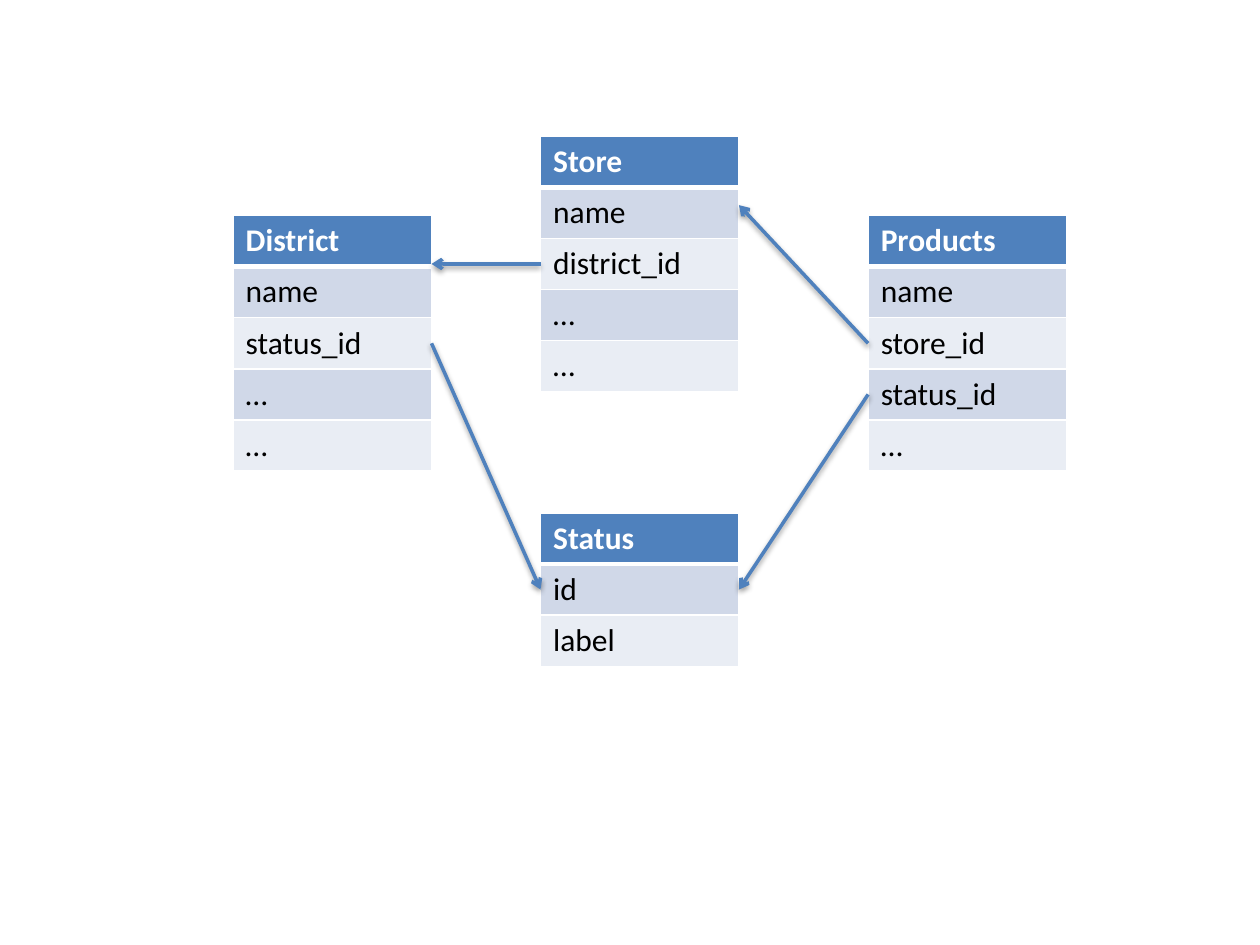
from pptx import Presentation, util as u
from pptx.dml.color import RGBColor
from pptx.enum import shapes
from pptx.oxml import parse_xml
from pptx.oxml.ns import nsdecls

BLUE, WHITE, BLACK = "4F81BD", "FFFFFF", "000000"
BANDS = ["E9EDF4", "D0D8E8"]
WIDE, ROW = 6.3 / 4, 2.03 / 5
COLS = [1.85, 4.29, 6.89]
TOPS = [1.08, 1.71, 4.07]
LEVEL = 2.5 - (TOPS[1] - TOPS[0]) / ROW  # District height of Store's third row

# name: (column, top, fields)
TABLES = {
    "Products": (2, 1, ["name", "store_id", "status_id", "…"]),
    "Store": (1, 0, ["name", "district_id", "…", "…"]),
    "District": (0, 1, ["name", "status_id", "…", "…"]),
    "Status": (1, 2, ["id", "label"]),
}

# each end: table, side (0 left, 1 right), rows down from its top
LINKS = [
    (("Products", 0, 3.5), ("Status", 1, 1.5)),
    (("District", 1, 2.5), ("Status", 0, 1.5)),
    (("Store", 0, 2.5), ("District", 1, LEVEL)),
    (("Products", 0, 2.5), ("Store", 1, 1.35)),
]


def rgb(code):
    """Turn a hex string into a colour."""
    return RGBColor.from_string(code)


def write(frame, words, size=18, color=BLACK, bold=False, font="Calibri"):
    """Put formatted text into a text frame."""
    run = frame.paragraphs[0].add_run()
    run.text = words
    run.font.size, run.font.name, run.font.bold = u.Pt(size), font, bold
    run.font.color.rgb = rgb(color)


def border(cell, side, width):
    """Draw one white edge of a cell."""
    cell._tc.get_or_add_tcPr().append(parse_xml(
        f'<a:ln{side} {nsdecls("a")} w="{u.Pt(width)}"><a:solidFill>'
        f'<a:srgbClr val="{WHITE}"/></a:solidFill></a:ln{side}>'))


def entity(slide, name, col, top, fields):
    """Add a table with a header and one row per field."""
    rows = [name] + fields
    table = slide.shapes.add_table(
        len(rows), 1, u.Inches(COLS[col]), u.Inches(TOPS[top]),
        u.Inches(WIDE), u.Inches(ROW * len(rows))).table
    for i, words in enumerate(rows):
        cell, head = table.cell(i, 0), i == 0
        for side in "LRTB":
            thick = (i, side) in [(0, "B"), (1, "T")]
            border(cell, side, 3 if thick else 1)
        cell.fill.solid()
        cell.fill.fore_color.rgb = rgb(BLUE if head else BANDS[i % 2])
        write(cell.text_frame, words, color=WHITE if head else BLACK, bold=head)


def port(name, side, down):
    """Find a point on the side of a table."""
    col, top, _ = TABLES[name]
    return u.Inches(COLS[col] + side * WIDE), u.Inches(TOPS[top] + down * ROW)


def link(slide, start, end):
    """Add an arrow with a soft shadow between two tables."""
    line = slide.shapes.add_connector(
        shapes.MSO_CONNECTOR.STRAIGHT, *port(*start), *port(*end))
    line.line.width = u.Pt(2)
    line.line.color.rgb = rgb(BLUE)
    line.line._get_or_add_ln().append(
        parse_xml(f'<a:tailEnd {nsdecls("a")} type="arrow"/>'))
    line._element.spPr.append(parse_xml(
        f'<a:effectLst {nsdecls("a")}><a:outerShdw blurRad="40000" dist="20000" '
        f'dir="5400000" rotWithShape="0"><a:srgbClr val="{BLACK}">'
        '<a:alpha val="38000"/></a:srgbClr></a:outerShdw></a:effectLst>'))


def main():
    """Build the slide and save it."""
    deck = Presentation()
    deck.slide_width, deck.slide_height = u.Inches(10), u.Inches(7.5)
    slide = deck.slides.add_slide(deck.slide_layouts[6])
    for name, spot in TABLES.items():
        entity(slide, name, *spot)
    for start, end in LINKS:
        link(slide, start, end)
    deck.save("out.pptx")


main()
